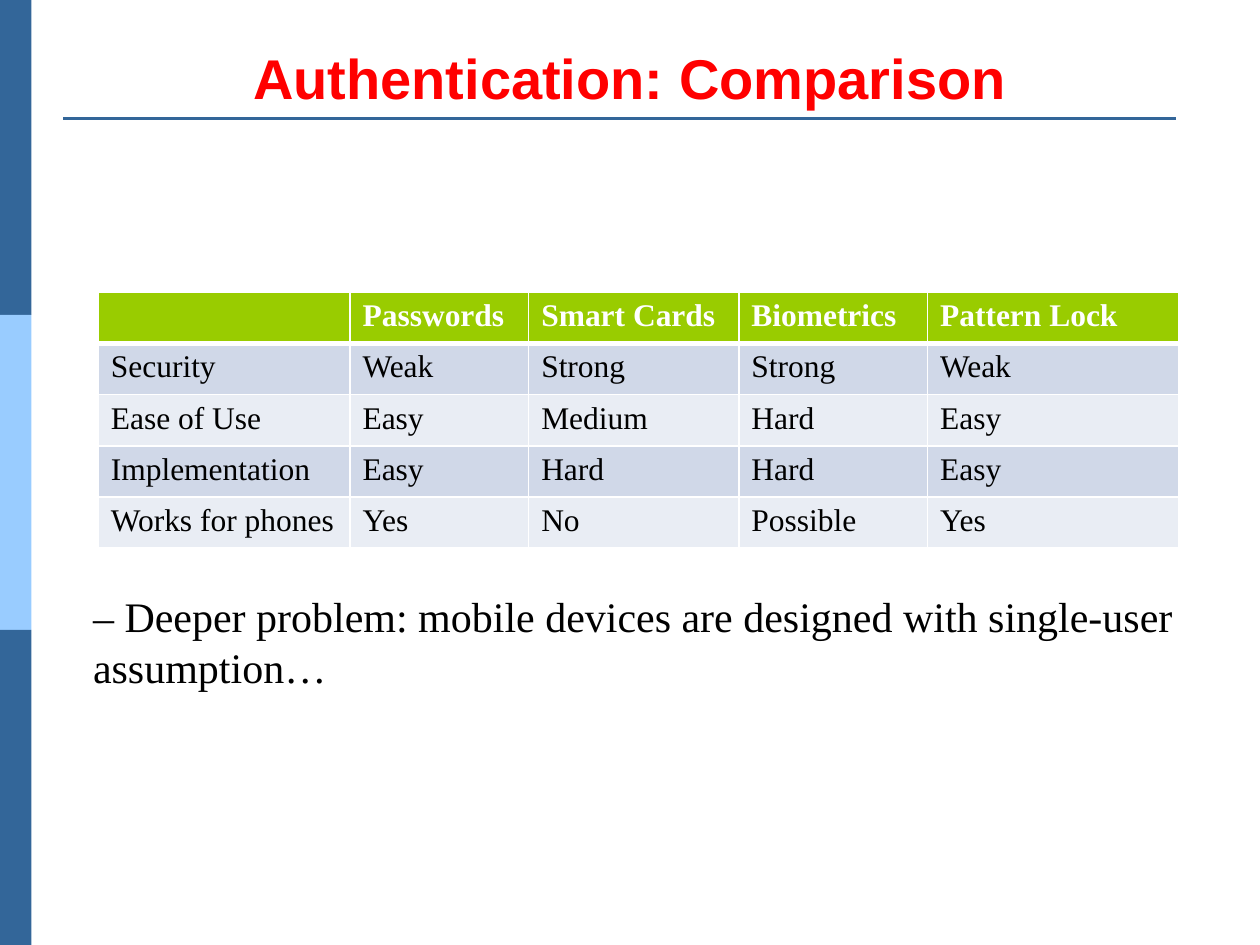
from pptx import Presentation
from pptx.dml.color import RGBColor
from pptx.enum.shapes import MSO_CONNECTOR, MSO_SHAPE
from pptx.enum.text import MSO_ANCHOR, MSO_AUTO_SIZE, PP_ALIGN
from pptx.oxml.ns import qn
from pptx.util import Inches, Pt
from lxml.etree import SubElement

NAVY = RGBColor(0x33, 0x66, 0x99)
SKY = RGBColor(0x99, 0xCC, 0xFF)
RED = RGBColor(0xFF, 0x00, 0x00)
GREEN = RGBColor(0x99, 0xCC, 0x00)
BAND_DARK = RGBColor(0xD0, 0xD8, 0xE8)
BAND_LIGHT = RGBColor(0xE9, 0xED, 0xF4)
WHITE = RGBColor(0xFF, 0xFF, 0xFF)
BLACK = RGBColor(0x00, 0x00, 0x00)

COLUMN_WIDTHS = [2, 1.42, 1.67, 1.5, 2]
COMPARISON = [
    ["", "Passwords", "Smart Cards", "Biometrics", "Pattern Lock"],
    ["Security", "Weak", "Strong", "Strong", "Weak"],
    ["Ease of Use", "Easy", "Medium", "Hard", "Easy"],
    ["Implementation", "Easy", "Hard", "Hard", "Easy"],
    ["Works for phones", "Yes", "No", "Possible", "Yes"],
]


def write(para, text, font="Times New Roman", size=18, color=BLACK, bold=False,
          align=PP_ALIGN.LEFT):
    para.alignment = align
    span = para.add_run()
    span.text = text
    span.font.name = font
    span.font.size = Pt(size)
    span.font.color.rgb = color
    span.font.bold = bold


def add_side_bar(page, left, top, width, height):
    colors = [NAVY, SKY, NAVY]
    part = height / len(colors)
    for index, color in enumerate(colors):
        block = page.shapes.add_shape(
            MSO_SHAPE.RECTANGLE, Inches(left), Inches(top + index * part),
            Inches(width), Inches(part))
        block.shadow.inherit = False
        block.fill.solid()
        block.fill.fore_color.rgb = color
        block.line.fill.background()


def add_rule(page, left, top, width):
    rule = page.shapes.add_connector(
        MSO_CONNECTOR.STRAIGHT, Inches(left), Inches(top),
        Inches(left + width), Inches(top))
    rule.line.color.rgb = NAVY
    rule.line.width = Pt(1.5)
    SubElement(rule._element.spPr, qn("a:effectLst"))


def place_title(page, text, left, top, width, height):
    title = page.shapes.title
    title.left, title.top = Inches(left), Inches(top)
    title.width, title.height = Inches(width), Inches(height)
    frame = title.text_frame
    frame.vertical_anchor = MSO_ANCHOR.BOTTOM
    frame.auto_size = MSO_AUTO_SIZE.NONE
    write(frame.paragraphs[0], text, font="Arial", size=32, color=RED,
          bold=True, align=PP_ALIGN.CENTER)


def set_borders(cell, **widths):
    """Draw white cell borders; the fill must be set afterwards."""
    properties = cell._tc.get_or_add_tcPr()
    for side in ("L", "R", "T", "B"):
        line = SubElement(properties, qn(f"a:ln{side}"),
                          w=str(Pt(widths.get(side, 1))))
        fill = SubElement(line, qn("a:solidFill"))
        SubElement(fill, qn("a:srgbClr"), val=str(WHITE))


def add_comparison(page, left, top, width, height):
    rows, columns = len(COMPARISON), len(COLUMN_WIDTHS)
    table = page.shapes.add_table(
        rows, columns, Inches(left), Inches(top),
        Inches(width), Inches(height)).table
    for column, share in zip(table.columns, COLUMN_WIDTHS):
        column.width = Inches(width * share / sum(COLUMN_WIDTHS))
    for r, values in enumerate(COMPARISON):
        header = r == 0
        band = GREEN if header else BAND_DARK if r % 2 else BAND_LIGHT
        borders = {"B": 3} if header else {"T": 3} if r == 1 else {}
        for c, value in enumerate(values):
            cell = table.cell(r, c)
            set_borders(cell, **borders)
            cell.fill.solid()
            cell.fill.fore_color.rgb = band
            if value:
                write(cell.text_frame.paragraphs[0], value, bold=header,
                      color=WHITE if header else BLACK)


def add_remark(page, lines, left, top, width, height):
    box = page.shapes.add_textbox(
        Inches(left), Inches(top), Inches(width), Inches(height))
    frame = box.text_frame
    frame.word_wrap = False
    frame.auto_size = MSO_AUTO_SIZE.SHAPE_TO_FIT_TEXT
    for index, line in enumerate(lines):
        para = frame.add_paragraph() if index else frame.paragraphs[0]
        write(para, line, size=24)


def main():
    deck = Presentation()
    deck.slide_width, deck.slide_height = Inches(10), Inches(7.5)
    page = deck.slides.add_slide(deck.slide_layouts[5])
    add_side_bar(page, 0, 0, 0.25, 7.5)
    add_rule(page, 0.5, 0.94, 8.83)
    place_title(page, "Authentication: Comparison", 0.5, 0.3, 9, 0.63)
    add_comparison(page, 0.78, 2.32, 8.58, 2.03)
    add_remark(page, [
        "– Deeper problem: mobile devices are designed with single-user",
        "assumption…",
    ], 0.64, 4.64, 8.86, 0.91)
    deck.save("out.pptx")


if __name__ == "__main__":
    main()
